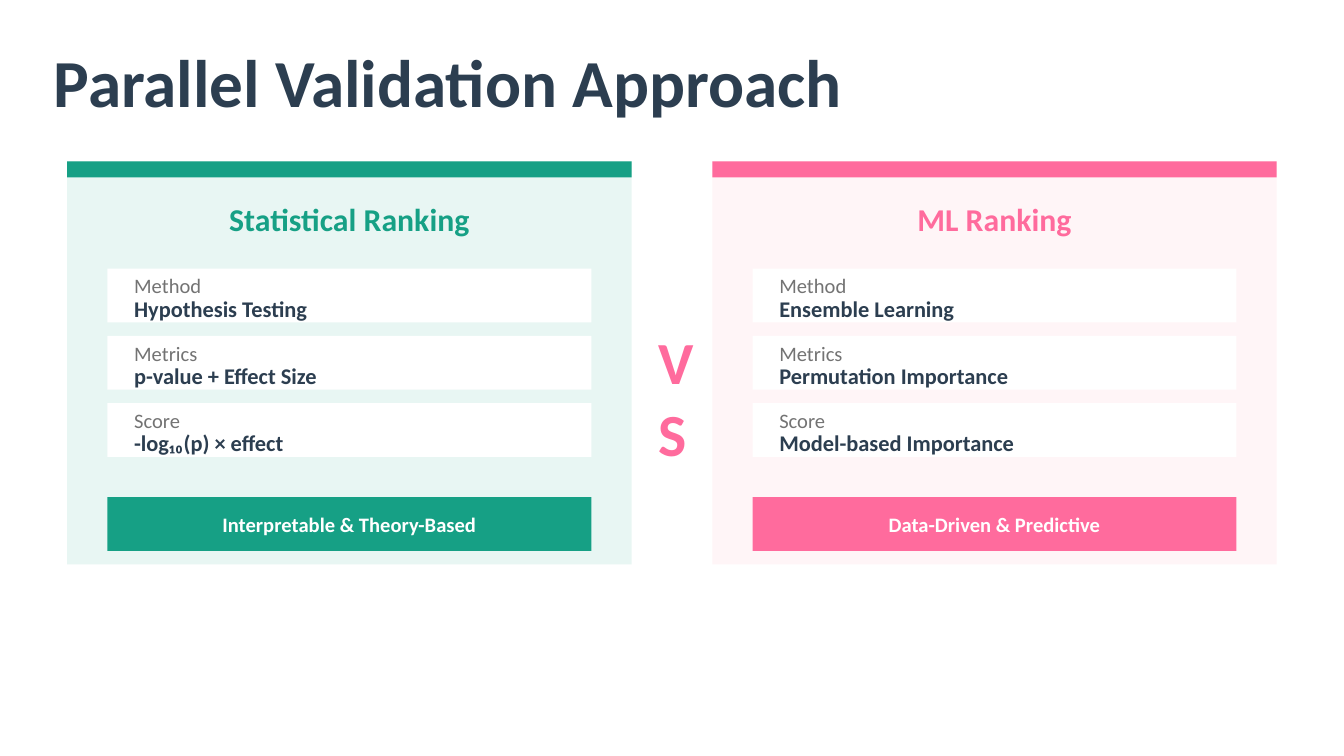
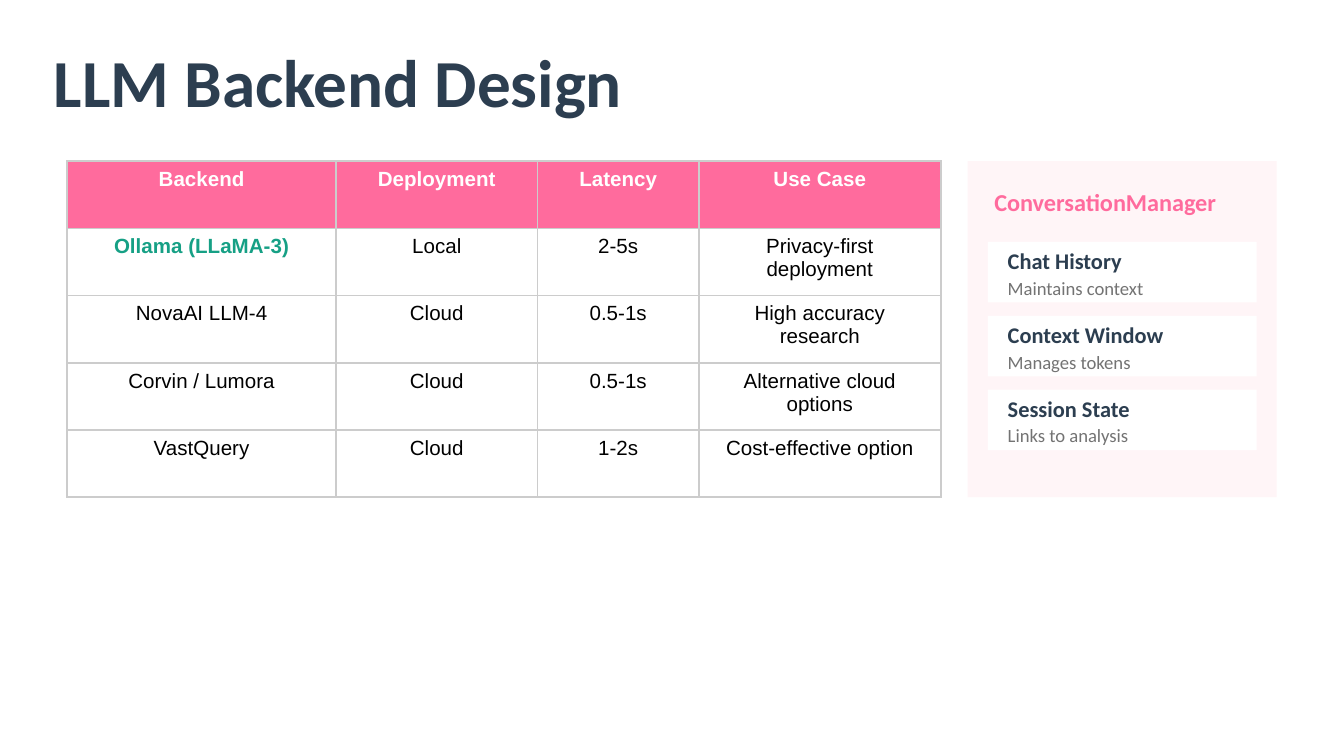
from lxml import etree
from pptx import Presentation
from pptx import util as u
from pptx.dml.color import RGBColor
from pptx.enum import shapes, text
from pptx.oxml import ns

COLORS = {
    "ink": "2C3E50",
    "muted": "737373",
    "teal": "16A085",
    "teal_tint": "E8F6F3",
    "pink": "FF6B9D",
    "pink_tint": "FFF5F7",
    "white": "FFFFFF",
    "black": "000000",
    "border": "CCCCCC",
}
CONTENT_LEFT = 36
CONTENT_TOP = 86.4
TABLE_ROW_HEIGHT = 36

RANKINGS = [
    (CONTENT_LEFT, "Statistical Ranking", "teal",
     ["Hypothesis Testing", "p-value + Effect Size", "-log₁₀(p) × effect"],
     "Interpretable & Theory-Based"),
    (381.6, "ML Ranking", "pink",
     ["Ensemble Learning", "Permutation Importance", "Model-based Importance"],
     "Data-Driven & Predictive"),
]
FACT_LABELS = ["Method", "Metrics", "Score"]

BACKEND_COLUMNS = [144, 108, 86.4, 129.6]
BACKENDS = [
    ["Backend", "Deployment", "Latency", "Use Case"],
    ["Ollama (LLaMA-3)", "Local", "2-5s", "Privacy-first deployment"],
    ["NovaAI LLM-4", "Cloud", "0.5-1s", "High accuracy research"],
    ["Corvin / Lumora", "Cloud", "0.5-1s", "Alternative cloud options"],
    ["VastQuery", "Cloud", "1-2s", "Cost-effective option"],
]
MANAGER_PARTS = [
    ("Chat History", "Maintains context"),
    ("Context Window", "Manages tokens"),
    ("Session State", "Links to analysis"),
]


def color(name):
    return RGBColor.from_string(COLORS[name])


def points(*lengths):
    return [u.Pt(length) for length in lengths]


def write_text(frame, content, size=11, fill="ink", bold=False, centered=False,
               font="Calibri", anchor=text.MSO_ANCHOR.MIDDLE):
    frame.word_wrap = True
    frame.vertical_anchor = anchor
    paragraph = frame.paragraphs[0]
    paragraph.text = content
    paragraph.alignment = text.PP_ALIGN.CENTER if centered else text.PP_ALIGN.LEFT
    paragraph.font.name = font
    paragraph.font.size = u.Pt(size)
    paragraph.font.bold = bold
    paragraph.font.color.rgb = color(fill)


def add_text(slide, content, left, top, width, height, **style):
    box = slide.shapes.add_textbox(*points(left, top, width, height))
    write_text(box.text_frame, content, **style)


def add_rectangle(slide, fill, left, top, width, height):
    shape = slide.shapes.add_shape(
        shapes.MSO_SHAPE.RECTANGLE, *points(left, top, width, height))
    shape.shadow.inherit = False
    shape.fill.solid()
    shape.fill.fore_color.rgb = color(fill)
    shape.line.fill.background()
    return shape


def add_titled_slide(presentation, title):
    slide = presentation.slides.add_slide(presentation.slide_layouts[5])
    shape = slide.shapes.title
    shape.left, shape.top, shape.width, shape.height = points(21.6, 21.6, 648, 43.2)
    write_text(shape.text_frame, title, size=36, bold=True)
    shape.text_frame.auto_size = text.MSO_AUTO_SIZE.NONE
    return slide


def add_ranking_panel(slide, left, heading, accent, facts, summary):
    add_rectangle(slide, f"{accent}_tint", left, CONTENT_TOP, 302.4, 216)
    add_rectangle(slide, accent, left, CONTENT_TOP, 302.4, 8.64)
    add_text(slide, heading, left + 14.4, 104.4, 273.6, 25.2,
             size=17, fill=accent, bold=True, centered=True)
    for index, (label, fact) in enumerate(zip(FACT_LABELS, facts)):
        top = 144 + index * 36
        add_rectangle(slide, "white", left + 21.6, top, 259.2, 28.8)
        add_text(slide, label, left + 28.8, top + 3.6, 244.8, 10.8, fill="muted")
        add_text(slide, fact, left + 28.8, top + 15.84, 244.8, 10.8, size=12, bold=True)
    banner = add_rectangle(slide, accent, left + 21.6, 266.4, 259.2, 28.8)
    write_text(banner.text_frame, summary, fill="white", bold=True, centered=True)


def set_cell_borders(cell):
    properties = cell._tc.get_or_add_tcPr()
    for side in ("a:lnL", "a:lnR", "a:lnT", "a:lnB"):
        line = etree.SubElement(properties, ns.qn(side), w=str(u.Pt(1)))
        fill = etree.SubElement(line, ns.qn("a:solidFill"))
        etree.SubElement(fill, ns.qn("a:srgbClr"), val=COLORS["border"])


def add_backend_table(slide):
    frame = slide.shapes.add_table(
        len(BACKENDS), len(BACKEND_COLUMNS),
        *points(CONTENT_LEFT, CONTENT_TOP, sum(BACKEND_COLUMNS),
                TABLE_ROW_HEIGHT * len(BACKENDS)))
    table = frame.table
    table.horz_banding = False
    for column, width in zip(table.columns, BACKEND_COLUMNS):
        column.width = u.Pt(width)
    for row_index, values in enumerate(BACKENDS):
        table.rows[row_index].height = u.Pt(TABLE_ROW_HEIGHT)
        for column_index, value in enumerate(values):
            cell = table.cell(row_index, column_index)
            is_header = row_index == 0
            is_featured = (row_index, column_index) == (1, 0)
            set_cell_borders(cell)
            if is_header:
                cell.fill.solid()
                cell.fill.fore_color.rgb = color("pink")
            else:
                cell.fill.background()
            fill = "white" if is_header else "teal" if is_featured else "black"
            write_text(cell.text_frame, value, fill=fill, bold=is_header or is_featured,
                       centered=True, font="Arial", anchor=text.MSO_ANCHOR.TOP)


def add_manager_panel(slide):
    add_rectangle(slide, "pink_tint", 518.4, CONTENT_TOP, 165.6, 180)
    add_text(slide, "ConversationManager", 525.6, 97.2, 151.2, 21.6,
             size=13, fill="pink", bold=True)
    for index, (name, purpose) in enumerate(MANAGER_PARTS):
        top = 129.6 + index * 39.6
        add_rectangle(slide, "white", 529.2, top, 144, 32.4)
        add_text(slide, name, 532.8, top + 3.6, 136.8, 12.96, size=12, bold=True)
        add_text(slide, purpose, 532.8, top + 18, 136.8, 12.96, size=10, fill="muted")


def main():
    presentation = Presentation()
    presentation.slide_width, presentation.slide_height = points(720, 405)

    validation = add_titled_slide(presentation, "Parallel Validation Approach")
    for ranking in RANKINGS:
        add_ranking_panel(validation, *ranking)
    add_text(validation, "VS", 345.6, 194.4, 28.8, 36,
             size=32, fill="pink", bold=True, centered=True)

    backend = add_titled_slide(presentation, "LLM Backend Design")
    add_backend_table(backend)
    add_manager_panel(backend)

    presentation.save("out.pptx")


if __name__ == "__main__":
    main()
